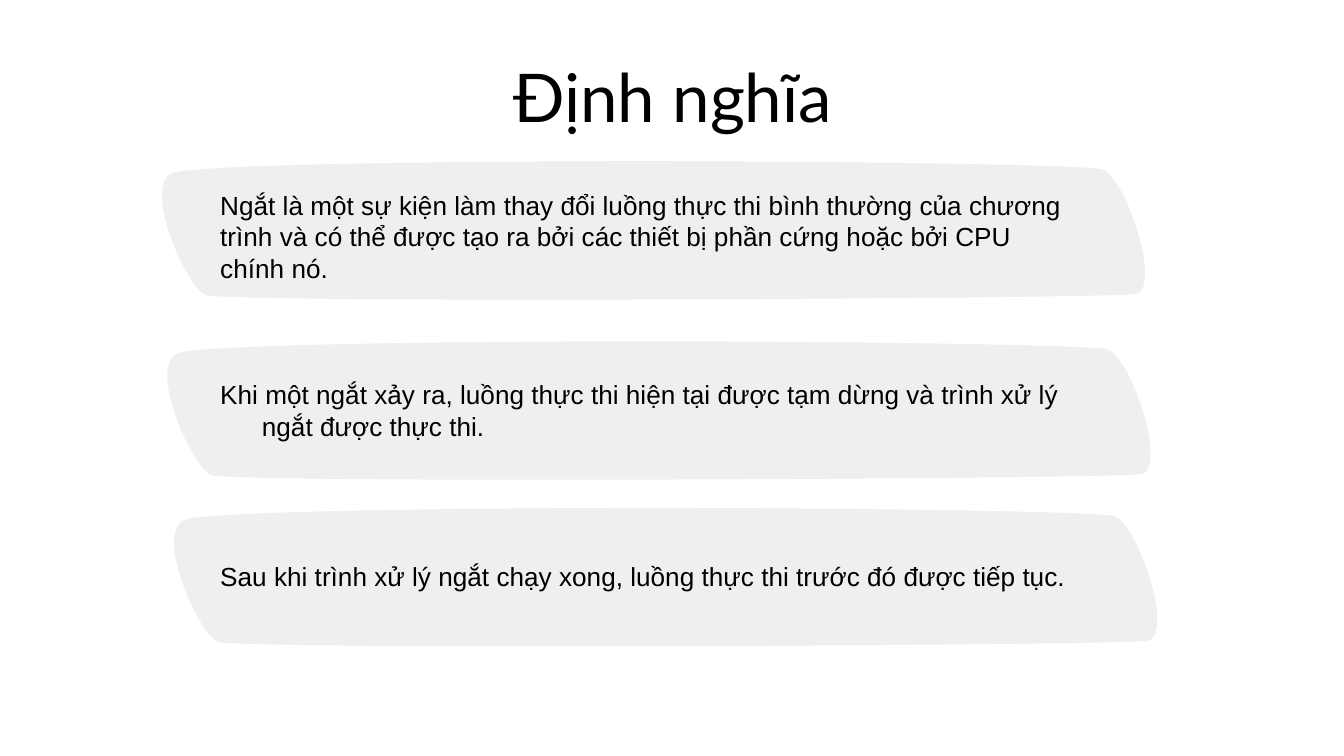
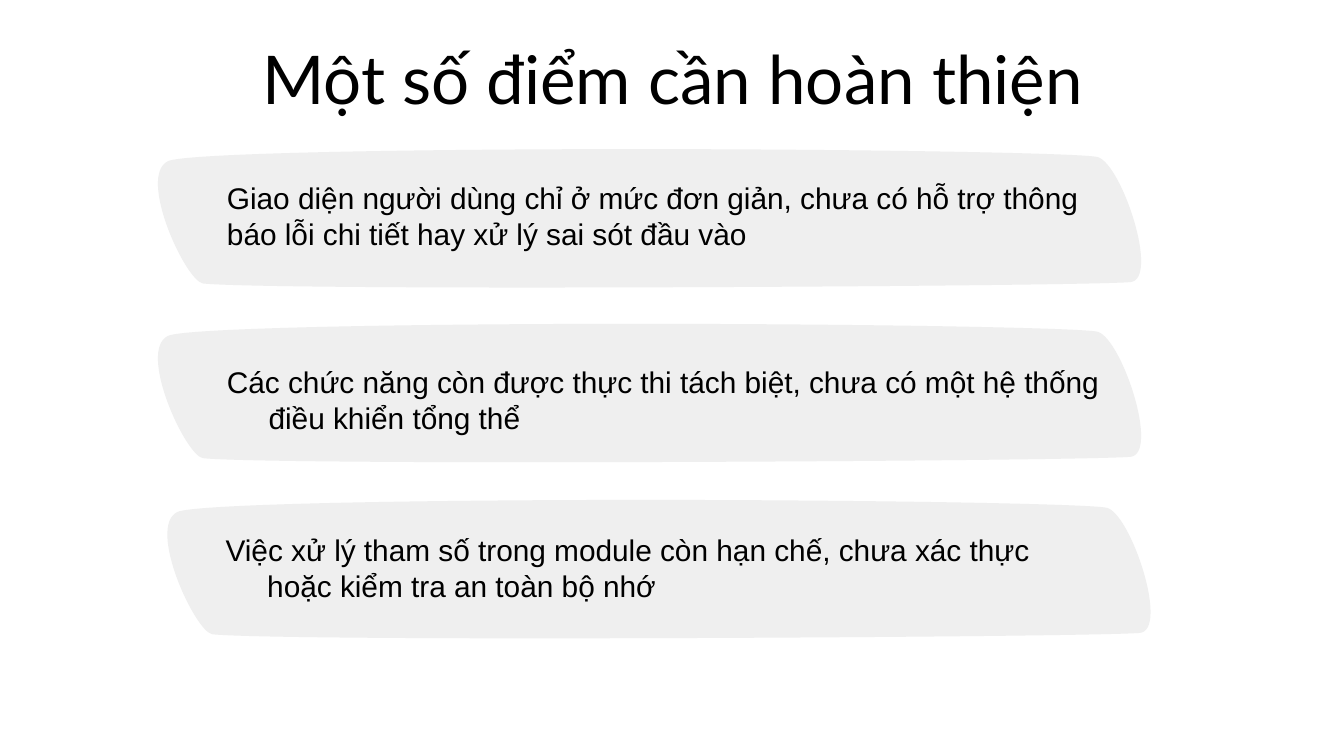
from dataclasses import dataclass

from lxml import etree
from pptx import Presentation
from pptx.dml.color import RGBColor
from pptx.enum.text import MSO_ANCHOR, MSO_AUTO_SIZE, PP_ALIGN
from pptx.oxml.ns import qn
from pptx.slide import Slide
from pptx.util import Emu, Pt

PX = 9144
WIDTH = 1000
BLACK = RGBColor(0, 0, 0)
GREY = RGBColor(0xEF, 0xEF, 0xEF)
WHITE = RGBColor(0xFF, 0xFF, 0xFF)
LEFT, CENTER = PP_ALIGN.LEFT, PP_ALIGN.CENTER
TOP, MIDDLE = MSO_ANCHOR.TOP, MSO_ANCHOR.MIDDLE
GROW, FIXED = MSO_AUTO_SIZE.SHAPE_TO_FIT_TEXT, MSO_AUTO_SIZE.NONE
HANG = 31
START = (371, 0)
CURVES = [
    (204, 0), (35, 3), (23, 9),
    (0, 20), (36, 98), (49, 100),
    (67, 102), (168, 103), (288, 103),
    (477, 103), (713, 101), (739, 99),
    (761, 97), (733, 12), (715, 6),
    (706, 3), (539, 0), START,
]


@dataclass(frozen=True)
class Box:
    left: int
    top: int
    width: int
    height: int


@dataclass(frozen=True)
class Point:
    left: int
    top: int
    box: Box
    text: str
    hang: int = HANG


@dataclass(frozen=True)
class Page:
    title: str
    top: int
    size: int
    points: tuple[Point, ...]


PAGES = (
    Page("Định nghĩa", 45, 14, (
        Point(105, 120, Box(154, 136, 661, 104),
              "Ngắt là một sự kiện làm thay đổi luồng thực thi bình thường của chương "
              "trình và có thể được tạo ra bởi các thiết bị phần cứng hoặc bởi CPU chính nó.",
              hang=0),
        Point(109, 254, Box(154, 277, 661, 57),
              "Khi một ngắt xảy ra, luồng thực thi hiện tại được tạm dừng và trình xử lý "
              "ngắt được thực thi."),
        Point(114, 378, Box(154, 412, 661, 34),
              "Sau khi trình xử lý ngắt chạy xong, luồng thực thi trước đó được tiếp tục."),
    )),
    Page("Một số điểm cần hoàn thiện", 31, 16, (
        Point(102, 111, Box(159, 129, 661, 64),
              "Giao diện người dùng chỉ ở mức đơn giản, chưa có hỗ trợ thông báo lỗi "
              "chi tiết hay xử lý sai sót đầu vào",
              hang=0),
        Point(102, 241, Box(159, 266, 683, 64),
              "Các chức năng còn được thực thi tách biệt, chưa có một hệ thống điều khiển "
              "tổng thể"),
        Point(109, 372, Box(158, 391, 661, 64),
              "Việc xử lý tham số trong module còn hạn chế, chưa xác thực hoặc kiểm tra "
              "an toàn bộ nhớ"),
    )),
)


def px(count: int) -> Emu:
    """Turn px into EMU."""
    return Emu(count * PX)


def add_text(slide: Slide, box: Box, text: str, *, size: int, font: str = "Arial",
             align: PP_ALIGN = LEFT, anchor: MSO_ANCHOR = TOP,
             fit: MSO_AUTO_SIZE = GROW, pad: int = 5, hang: int = 0) -> None:
    """Place one formatted paragraph in a text box."""
    shape = slide.shapes.add_textbox(px(box.left), px(box.top), px(box.width), px(box.height))
    frame = shape.text_frame
    frame.word_wrap = True
    frame.auto_size = fit
    frame.vertical_anchor = anchor
    frame.margin_left = frame.margin_right = px(10)
    frame.margin_top = frame.margin_bottom = px(pad)
    para = frame.paragraphs[0]
    para.alignment = align
    if hang:
        props = para._p.get_or_add_pPr()
        props.set("marL", str(px(hang)))
        props.set("indent", str(px(-hang)))
    run = para.add_run()
    run.text = text
    run.font.name = font
    run.font.size = Pt(size)
    run.font.color.rgb = BLACK


def add_band(slide: Slide, left: int, top: int) -> None:
    """Draw the curved grey band behind a point."""
    pen = slide.shapes.build_freeform(*START, scale=PX)
    pen.add_line_segments(CURVES, close=True)
    shape = pen.convert_to_shape(px(left), px(top))
    shape.shadow.inherit = False
    shape.fill.solid()
    shape.fill.fore_color.rgb = GREY
    shape.line.fill.background()
    lines = list(shape._element.iter(qn("a:lnTo")))
    for trio in zip(*[iter(lines)] * 3):
        curve = etree.Element(qn("a:cubicBezTo"))
        trio[0].addprevious(curve)
        for line in trio:
            curve.append(line[0])
            line.getparent().remove(line)


def add_page(deck: Presentation, page: Page) -> None:
    """Build a slide with a title and its points on bands."""
    slide = deck.slides.add_slide(deck.slide_layouts[6])
    slide.background.fill.solid()
    slide.background.fill.fore_color.rgb = WHITE
    add_text(slide, Box(78, page.top, 845, 53), page.title, size=36, font="Lato",
             align=CENTER, anchor=MIDDLE, fit=FIXED, pad=10)
    for point in page.points:
        add_band(slide, point.left, point.top)
        add_text(slide, point.box, point.text, size=page.size, hang=point.hang)


def main() -> None:
    """Build and save the deck."""
    deck = Presentation()
    deck.slide_width = px(WIDTH)
    deck.slide_height = Emu(px(WIDTH) * 9 // 16)
    for page in PAGES:
        add_page(deck, page)
    deck.save("out.pptx")


if __name__ == "__main__":
    main()
